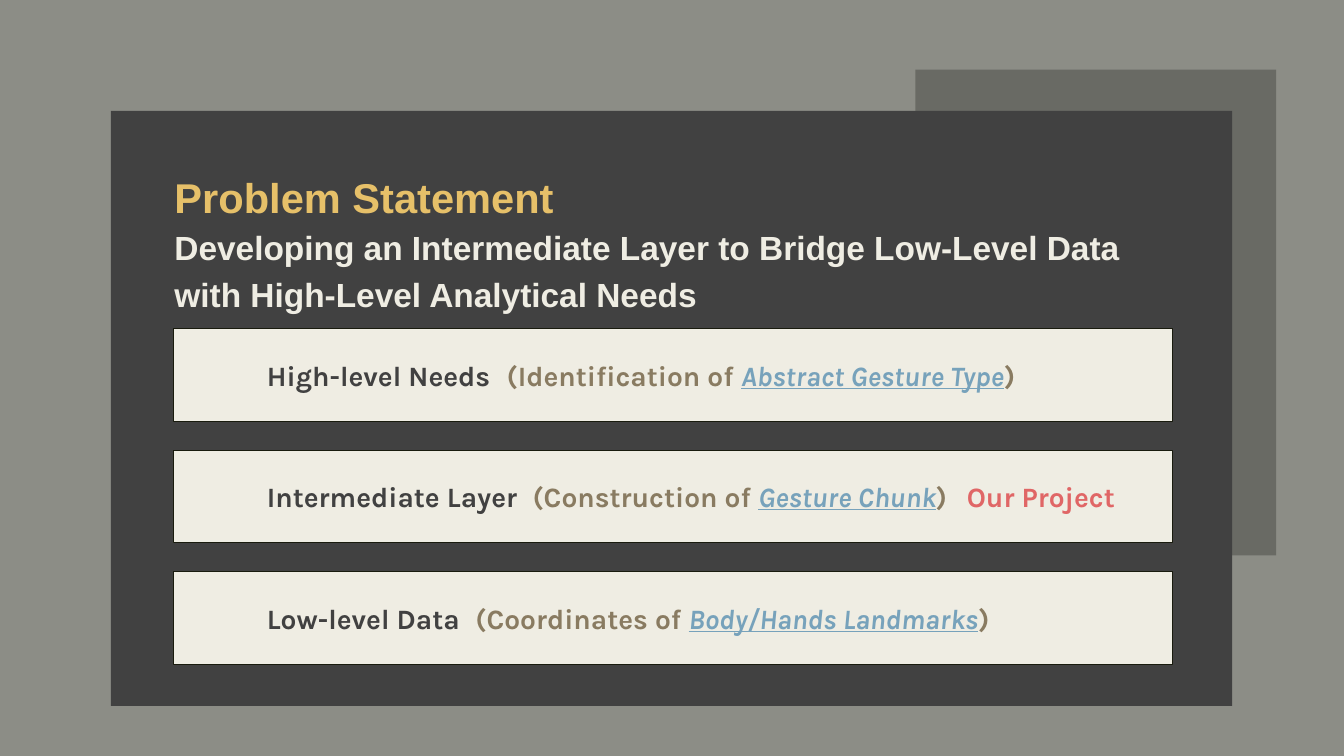
from dataclasses import dataclass

import pptx
import pptx.dml.color
import pptx.enum.shapes
import pptx.enum.text
import pptx.oxml
import pptx.oxml.ns
import pptx.util
from pptx.util import Pt

CREAM, CHARCOAL, GOLD = "EFEDE3", "414141", "E6C069"
BROWN, BLUE, RED = "897B61", "77A2BB", "E06666"


@dataclass
class Layer:
    name: str
    task: str
    subject: str
    tabs: tuple[float, ...]
    remark: str = ""


LAYERS = [
    Layer("High-level Needs", "Identification of", "Abstract Gesture Type", (171.3,)),
    Layer("Intermediate Layer", "Construction of", "Gesture Chunk", (189.8, 500),
          "Our Project"),
    Layer("Low-level Data", "Coordinates of", "Body/Hands Landmarks", (149,)),
]
LAYER_LEFT, LAYER_TOP, LAYER_WIDTH, LAYER_HEIGHT = 123.8, 234.8, 713.5, 66.2
LAYER_STEP = 86.8


def color(code: str) -> pptx.dml.color.RGBColor:
    return pptx.dml.color.RGBColor.from_string(code)


def fill_shape(shape, fill: str, line: str = "") -> None:
    shape.shadow.inherit = False
    shape.fill.solid()
    shape.fill.fore_color.rgb = color(fill)
    if line:
        shape.line.color.rgb = color(line)
        shape.line.width = Pt(0.75)
    else:
        shape.line.fill.background()


def add_rectangle(page, left: float, top: float, width: float, height: float,
                  fill: str, line: str = ""):
    shape = page.shapes.add_shape(pptx.enum.shapes.MSO_SHAPE.RECTANGLE,
                                  Pt(left), Pt(top), Pt(width), Pt(height))
    fill_shape(shape, fill, line)
    return shape


def format_font(font, name: str, size: float, code: str) -> None:
    font.name, font.size, font.bold = name, Pt(size), True
    font.color.rgb = color(code)


def set_margins(frame, left: float, top: float, right: float, bottom: float) -> None:
    frame.margin_left, frame.margin_top = Pt(left), Pt(top)
    frame.margin_right, frame.margin_bottom = Pt(right), Pt(bottom)


def add_tab_stops(para, stops: tuple[float, ...]) -> None:
    properties = para._p.get_or_add_pPr()
    tabs = pptx.oxml.parse_xml(f'<a:tabLst {pptx.oxml.ns.nsdecls("a")}/>')
    for stop in stops:
        tab = tabs.makeelement(pptx.oxml.ns.qn("a:tab"),
                               {"pos": str(int(Pt(stop))), "algn": "l"})
        tabs.append(tab)
    properties.append(tabs)


def add_layer(page, layer: Layer, top: float) -> None:
    box = add_rectangle(page, LAYER_LEFT, top, LAYER_WIDTH, LAYER_HEIGHT, CREAM, "191B0E")
    frame = box.text_frame
    frame.word_wrap = True
    frame.vertical_anchor = pptx.enum.text.MSO_ANCHOR.MIDDLE
    set_margins(frame, 66.8, 7.2, 7.2, 7.2)
    para = frame.paragraphs[0]
    para.alignment = pptx.enum.text.PP_ALIGN.LEFT
    add_tab_stops(para, layer.tabs)
    parts = [(f"{layer.name}\t", CHARCOAL), (f"({layer.task} ", BROWN),
             (layer.subject, BLUE), (")", BROWN)]
    if layer.remark:
        parts.append((f"\t{layer.remark}", RED))
    for text, code in parts:
        span = para.add_run()
        span.text = text
        format_font(span.font, "Karla", 20, code)
        if code == BLUE:
            span.font.italic = span.font.underline = True


def add_title(page) -> None:
    title = page.shapes.title
    title.left, title.top, title.width, title.height = Pt(117.4), Pt(110.2), Pt(734.4), Pt(121)
    page.shapes._spTree.append(title._element)  # bring in front of the panel
    frame = title.text_frame
    frame.word_wrap = True
    frame.auto_size = pptx.enum.text.MSO_AUTO_SIZE.NONE
    frame.vertical_anchor = pptx.enum.text.MSO_ANCHOR.MIDDLE
    set_margins(frame, 7.2, 3.6, 7.2, 3.6)
    frame.text = ("Problem Statement\nDeveloping an Intermediate Layer to Bridge "
                  "Low-Level Data with High-Level Analytical Needs")
    for para, size, code in zip(frame.paragraphs, (29.7, 23.9), (GOLD, CREAM)):
        para.alignment = pptx.enum.text.PP_ALIGN.LEFT
        para.line_spacing = 1.15
        para.space_before = Pt(0)
        format_font(para.runs[0].font, "Arial", size, code)


def main() -> None:
    deck = pptx.Presentation()
    deck.slide_width, deck.slide_height = Pt(960), Pt(540)
    page = deck.slides.add_slide(deck.slide_layouts[5])
    page.background.fill.solid()
    page.background.fill.fore_color.rgb = color("8C8D86")

    # Corner bracket and dark panel
    builder = page.shapes.build_freeform(Pt(653.8), Pt(49.7))
    builder.add_line_segments([(Pt(x), Pt(y)) for x, y in (
        (911.5, 49.7), (911.5, 396.7), (879.8, 396.7), (879.8, 79.9), (653.8, 79.9))])
    fill_shape(builder.convert_to_shape(), "696A64")
    add_rectangle(page, 79.2, 79.2, 801, 425, CHARCOAL)

    # Title and the stack of layers
    add_title(page)
    for index, layer in enumerate(LAYERS):
        add_layer(page, layer, LAYER_TOP + index * LAYER_STEP)

    deck.save("out.pptx")


if __name__ == "__main__":
    main()
